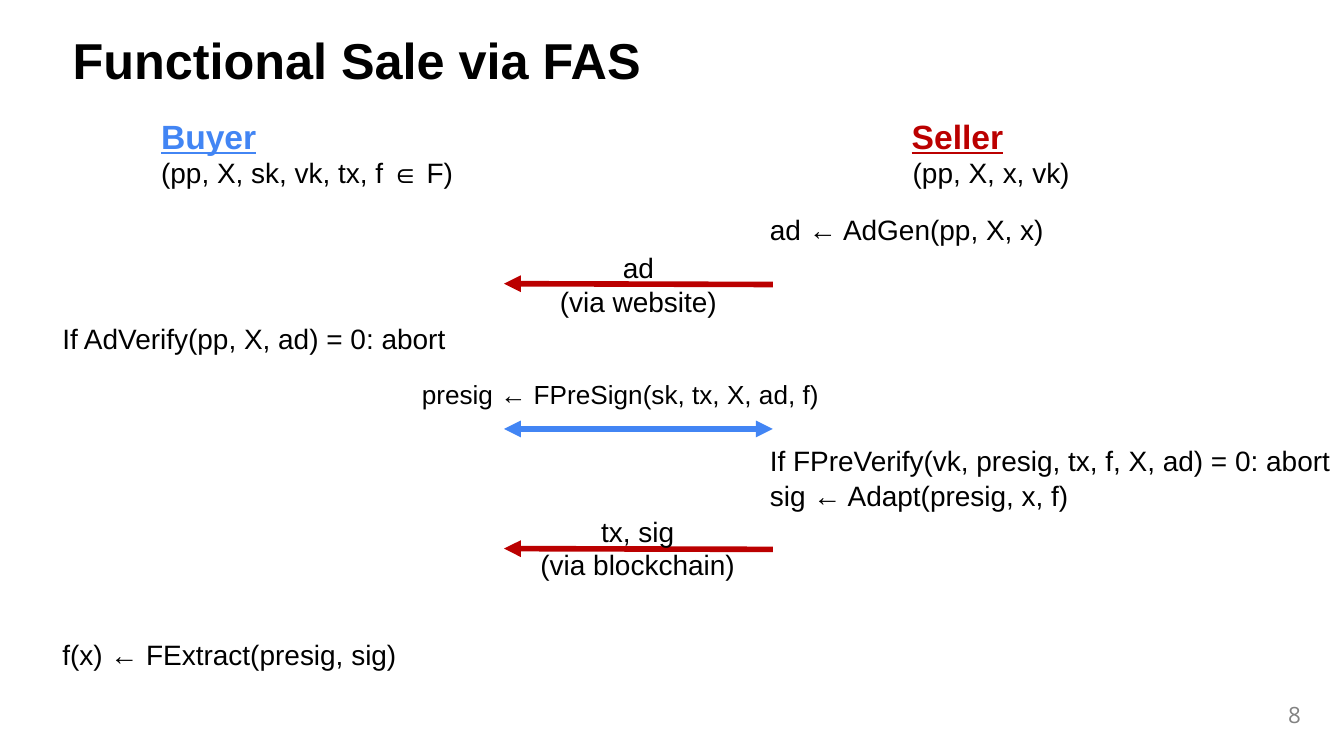
from dataclasses import dataclass

from lxml.etree import SubElement
from pptx import Presentation
from pptx.dml.color import RGBColor
from pptx.enum.shapes import MSO_CONNECTOR
from pptx.enum.text import MSO_ANCHOR, PP_ALIGN
from pptx.oxml.ns import qn
from pptx.util import Inches, Pt


@dataclass(frozen=True)
class Theme:
    black: str = "000000"
    buyer: str = "4285F4"
    seller: str = "BB0000"
    grey: str = "828282"
    font: str = "Arial"
    number_font: str = "Open Sans"
    title: int = 27
    role: int = 18
    body: int = 15
    joint: int = 14
    number: int = 12
    arrow: int = 3


theme = Theme()
presentation = Presentation()
presentation.slide_width = Inches(10)
presentation.slide_height = presentation.slide_width * 9 // 16
slide = presentation.slides.add_slide(presentation.slide_layouts[6])

# Grid: 100 columns by 56.25 rows
column = presentation.slide_width / 100
row = presentation.slide_height / 56.25
LEFT, CENTER, RIGHT = PP_ALIGN.LEFT, PP_ALIGN.CENTER, PP_ALIGN.RIGHT
TOP, MIDDLE = MSO_ANCHOR.TOP, MSO_ANCHOR.MIDDLE


def add_text(box, lines, size=theme.body, color=theme.black, font=theme.font,
             align=LEFT, anchor=TOP, inset=1, bold=False):
    left, top, width, height = box
    shape = slide.shapes.add_textbox(round(left * column), round(top * row),
                                     round(width * column), round(height * row))
    text_frame = shape.text_frame
    text_frame.word_wrap = True
    text_frame.vertical_anchor = anchor
    text_frame.margin_left = text_frame.margin_right = round(inset * column)
    text_frame.margin_top = text_frame.margin_bottom = round(inset * row)
    text_frame.text = "\n".join(lines)
    for paragraph in text_frame.paragraphs:
        paragraph.alignment = align
        for run in paragraph.runs:
            run.font.name = font
            run.font.size = Pt(size)
            run.font.bold = bold
            run.font.color.rgb = RGBColor.from_string(color)
    return text_frame


def add_arrow(start_row, end_row, color, ends):
    arrow = slide.shapes.add_connector(
        MSO_CONNECTOR.STRAIGHT, round(57.5 * column), round(start_row * row),
        round(37.5 * column), round(end_row * row))
    arrow.line.color.rgb = RGBColor.from_string(color)
    arrow.line.width = Pt(theme.arrow)
    line = arrow.line._get_or_add_ln()
    for end in ends:
        SubElement(line, qn(f"a:{end}"), type="triangle")
    SubElement(arrow._element.spPr, qn("a:effectLst"))


# Title and slide number
title = add_text((5, 2.3, 95, 4.8), ["Functional Sale via FAS"], theme.title,
                 anchor=MIDDLE, inset=0.4, bold=True)
title.paragraphs[0].line_spacing = 0.9
add_text((94.3, 51.8, 2.9, 2.8), ["8"], theme.number, theme.grey,
         theme.number_font, RIGHT, MIDDLE, 0.4)

# Parties and their inputs
for left, width, name, inputs, color, align in (
    (11, 25.5, "Buyer", "(pp, X, sk, vk, tx, f ∈ F)", theme.buyer, LEFT),
    (66.85, 13.8, "Seller", "(pp, X, x, vk)", theme.seller, CENTER),
):
    party = add_text((left, 7.6, width, 7.6), [name, inputs])
    heading, party_inputs = party.paragraphs
    party_inputs.alignment = align
    role_font = heading.runs[0].font
    role_font.size = Pt(theme.role)
    role_font.bold = role_font.underline = True
    role_font.color.rgb = RGBColor.from_string(color)

# Local steps: buyer on the left, seller on the right
buyer_left, seller_left = 3.65, 56.3
for left, top, width, step in (
    (seller_left, 14.8, 31.1, "ad ← AdGen(pp, X, x)"),
    (buyer_left, 22.9, 32.8, "If AdVerify(pp, X, ad) = 0: abort"),
    (seller_left, 32, 50, "If FPreVerify(vk, presig, tx, f, X, ad) = 0: abort"),
    (seller_left, 34.6, 31.1, "sig ← Adapt(presig, x, f)"),
    (buyer_left, 46.4, 28.9, "f(x) ← FExtract(presig, sig)"),
):
    add_text((left, top, width, 4.5), [step])

# Messages from seller to buyer
for start_row, left, top, width, message, channel in (
    (21.17, 40.3, 17.6, 14.4, "ad", "(via website)"),
    (40.88, 38.65, 37.22, 17.6, "tx, sig", "(via blockchain)"),
):
    add_arrow(start_row, start_row - 0.06, theme.seller, ["tailEnd"])
    add_text((left, top, width, 7.1), [message, channel],
             align=CENTER, anchor=MIDDLE)

# Joint presigning step
add_arrow(31.92, 31.92, theme.buyer, ["headEnd", "tailEnd"])
add_text((30.4, 27.6, 31.7, 3.5), ["presig ← FPreSign(sk, tx, X, ad, f)"],
         theme.joint, anchor=MIDDLE)

presentation.save("out.pptx")
